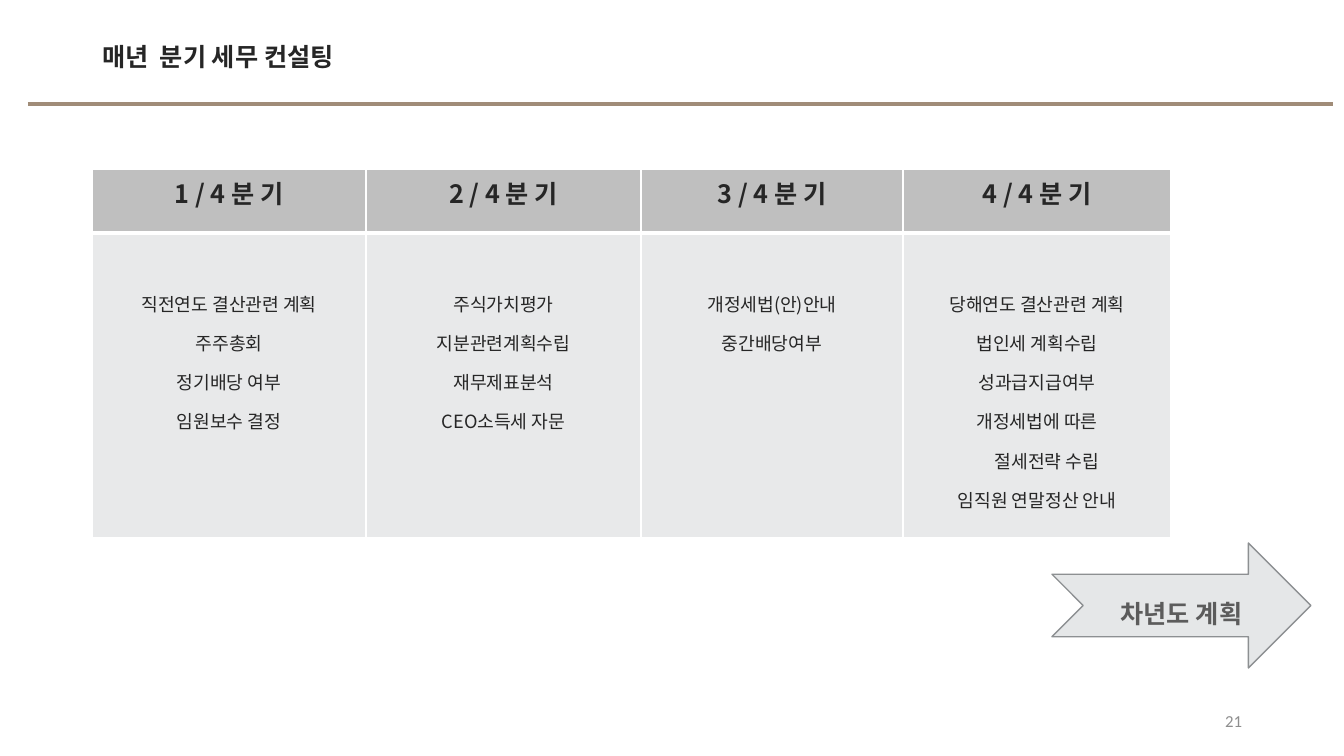
from lxml import etree
from pptx import Presentation, util as u
from pptx.dml.color import RGBColor
from pptx.enum import shapes, text
from pptx.oxml.ns import qn

PX = 914400 / 100.8
KOREAN = "Noto Sans CJK KR"
ALIGN = text.PP_ALIGN
ANCHOR = text.MSO_ANCHOR


def px(*lengths):
    """Turn pixel lengths into EMU."""
    return [u.Emu(round(length * PX)) for length in lengths]


def write(frame, lines, size, color, font="Calibri", bold=False,
          align=ALIGN.CENTER, spacing=None, anchor=ANCHOR.MIDDLE):
    """Fill a text frame with one formatted paragraph per line."""
    frame.word_wrap = True
    frame.vertical_anchor = anchor
    for i, line in enumerate(lines):
        para = frame.paragraphs[0] if i == 0 else frame.add_paragraph()
        para.alignment = align
        para.line_spacing = spacing
        run = para.add_run()
        run.text = line
        run.font.color.rgb = RGBColor.from_string(color)
        for name, value in {"size": u.Pt(size), "bold": bold, "name": font}.items():
            setattr(run.font, name, value)
        etree.SubElement(run.font._element, qn("a:ea"), typeface=KOREAN)


prs = Presentation()
prs.slide_width, prs.slide_height = px(1344, 756)
slide = prs.slides.add_slide(prs.slide_layouts[5])

# Page number
page_number = slide.shapes.add_textbox(*px(950, 701, 302, 40))
write(page_number.text_frame, ["21"], 12, "8E8E8E", align=ALIGN.RIGHT)

# Title
title = slide.shapes.title
title.left, title.top, title.width, title.height = px(92, 36, 338, 40)
write(title.text_frame, ["매년  분기 세무 컨설팅"], 18, "262626", bold=True,
      align=ALIGN.LEFT, anchor=ANCHOR.TOP)

# Quarterly plan
quarters = [
    (274, "1 / 4 분 기", ["직전연도 결산관련 계획", "주주총회", "정기배당 여부", "임원보수 결정"]),
    (275, "2 / 4 분 기", ["주식가치평가", "지분관련계획수립", "재무제표분석", "CEO소득세 자문"]),
    (262, "3 / 4 분 기", ["개정세법(안)안내", "중간배당여부"]),
    (268, "4 / 4 분 기", ["당해연도 결산관련 계획", "법인세 계획수립", "성과급지급여부",
                       "개정세법에 따른", "절세전략 수립", "임직원 연말정산 안내"]),
]
row_heights = px(64, 305)
table_width = sum(width for width, _, _ in quarters)
plan = slide.shapes.add_table(2, len(quarters), *px(92, 169, table_width, 369)).table
for row, height in zip(plan.rows, row_heights):
    row.height = height

for col, (width, quarter, tasks) in enumerate(quarters):
    plan.columns[col].width = px(width)[0]
    heading, body = plan.cell(0, col), plan.cell(1, col)
    write(heading.text_frame, [quarter], 18, "262626", KOREAN, bold=True)
    write(body.text_frame, tasks, 13, "262626", KOREAN, spacing=1.5, anchor=ANCHOR.TOP)
    body.margin_top = px(44)[0]
    for cell, fill, thick_side in ((heading, "BFBFBF", "lnB"), (body, "E8E9EA", "lnT")):
        props = cell._tc.get_or_add_tcPr()
        for side in ("lnL", "lnR", "lnT", "lnB"):
            points = 3 if side == thick_side else 1
            border = etree.SubElement(props, qn(f"a:{side}"), w=str(u.Pt(points)))
            solid = etree.SubElement(border, qn("a:solidFill"))
            etree.SubElement(solid, qn("a:srgbClr"), val="FFFFFF")
        cell.fill.solid()
        cell.fill.fore_color.rgb = RGBColor.from_string(fill)

# The fifth task of the last quarter continues the fourth
continuation = plan.cell(1, 3).text_frame.paragraphs[4]
continuation._p.get_or_add_pPr().set("marL", str(px(20)[0]))

# Arrow to next year's plan
next_year = slide.shapes.add_shape(shapes.MSO_SHAPE.NOTCHED_RIGHT_ARROW,
                                   *px(1052, 543, 259, 125))
next_year.shadow.inherit = False
next_year.fill.solid()
next_year.fill.fore_color.rgb = RGBColor.from_string("E5E7E8")
next_year.line.color.rgb = RGBColor.from_string("8D9092")
next_year.line.width = u.Pt(1)
write(next_year.text_frame, ["차년도 계획"], 18, "5C5C5C", bold=True, spacing=1.5)

# Rule under the title
rule = slide.shapes.add_connector(shapes.MSO_CONNECTOR.STRAIGHT, *px(28, 104, 1333, 104))
rule.line.color.rgb = RGBColor.from_string("A08C78")
rule.line.width = u.Pt(3)
etree.SubElement(rule._element.spPr, qn("a:effectLst"))

prs.save("out.pptx")
